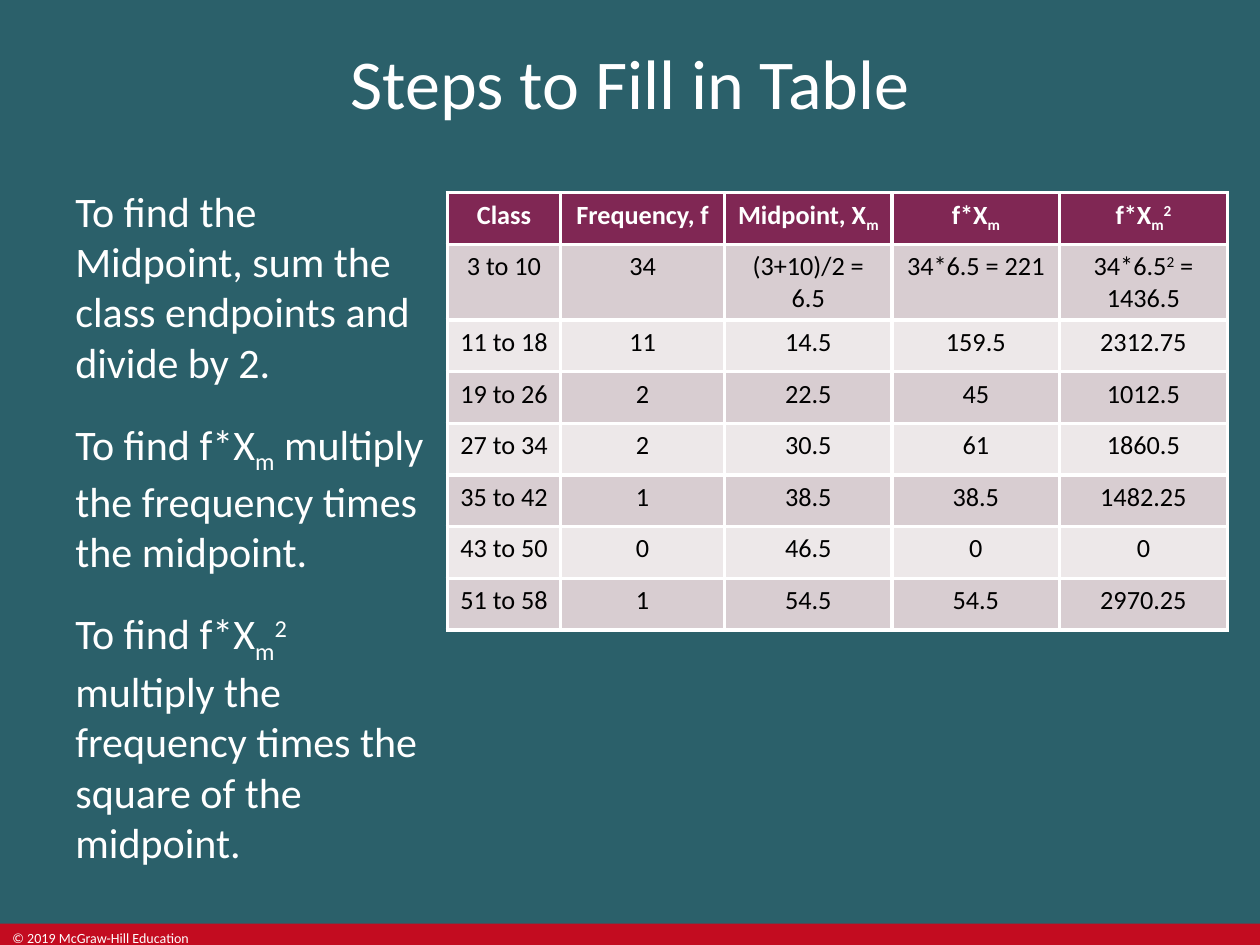
from dataclasses import dataclass

from lxml import etree
from pptx import Presentation
from pptx.dml.color import RGBColor
from pptx.enum.shapes import MSO_SHAPE
from pptx.enum.text import MSO_ANCHOR, PP_ALIGN
from pptx.oxml.ns import qn
from pptx.util import Inches, Pt

CENTER, LEFT = PP_ALIGN.CENTER, PP_ALIGN.LEFT
MIDDLE, TOP = MSO_ANCHOR.MIDDLE, MSO_ANCHOR.TOP
RECTANGLE = MSO_SHAPE.RECTANGLE
TITLE_ONLY = 5


@dataclass(frozen=True)
class Theme:
    font: str = "Calibri"
    background: str = "2B606A"
    footer: str = "C30C20"
    header: str = "802754"
    bands: tuple = ("D8CDD1", "EDE8E9")
    light: str = "FFFFFF"
    dark: str = "000000"
    title_size: int = 40
    body_size: int = 24
    table_size: int = 15
    footer_size: int = 8
    border: float = 2.25


THEME = Theme()
SUB, SUP = -25, 30
X_M = [("X", 0), ("m", SUB)]
F_X_M = [("f*X", 0), ("m", SUB)]
F_X_M_SQUARED = F_X_M + [("2", SUP)]

TITLE = "Steps to Fill in Table"
COPYRIGHT = "© 2019 McGraw-Hill Education"
STEPS = [
    [("To find the Midpoint, sum the class endpoints and divide by 2.", 0)],
    [("To find f*X", 0), ("m", SUB), (" multiply the frequency times the midpoint.", 0)],
    [("To find f*X", 0), ("m", SUB), ("2", SUP),
     (" multiply the frequency times the square of the midpoint.", 0)],
]
ROWS = [
    ["Class", "Frequency, f", [("Midpoint, X", 0), ("m", SUB)], F_X_M, F_X_M_SQUARED],
    ["3 to 10", "34", "(3+10)/2 = 6.5", "34*6.5 = 221",
     [("34*6.5", 0), ("2", SUP), (" = 1436.5", 0)]],
    ["11 to 18", "11", "14.5", "159.5", "2312.75"],
    ["19 to 26", "2", "22.5", "45", "1012.5"],
    ["27 to 34", "2", "30.5", "61", "1860.5"],
    ["35 to 42", "1", "38.5", "38.5", "1482.25"],
    ["43 to 50", "0", "46.5", "0", "0"],
    ["51 to 58", "1", "54.5", "54.5", "2970.25"],
]
COLUMN_WIDTHS = [0.9, 1.3, 1.33, 1.33, 1.33]
ROW_HEIGHT = 0.41
WIDTH, HEIGHT = 10, 7.5
FOOTER_HEIGHT = 0.17


def box(left, top, width, height):
    return [Inches(value) for value in (left, top, width, height)]


def paint(fill, color):
    fill.solid()
    fill.fore_color.rgb = RGBColor.from_string(color)


def write(paragraph, content, size, color=THEME.light, bold=False, align=LEFT):
    paragraph.alignment = align
    runs = [(content, 0)] if isinstance(content, str) else content
    for text, baseline in runs:
        run = paragraph.add_run()
        run.text = text
        run.font.name = THEME.font
        run.font.size = Pt(size)
        run.font.bold = bold
        run.font.color.rgb = RGBColor.from_string(color)
        if baseline:
            run.font._element.set("baseline", str(baseline * 1000))


def add_text_box(slide, bounds):
    frame = slide.shapes.add_textbox(*bounds).text_frame
    frame.word_wrap = True
    return frame


def add_borders(cell):
    properties = cell._tc.get_or_add_tcPr()
    for side in ("a:lnL", "a:lnR", "a:lnT", "a:lnB"):
        line = etree.SubElement(properties, qn(side), w=str(Pt(THEME.border)))
        fill = etree.SubElement(line, qn("a:solidFill"))
        etree.SubElement(fill, qn("a:srgbClr"), val=THEME.light)


def add_footer(slide):
    top = HEIGHT - FOOTER_HEIGHT
    bar = slide.shapes.add_shape(RECTANGLE, *box(0, top, WIDTH, FOOTER_HEIGHT))
    bar.shadow.inherit = False
    paint(bar.fill, THEME.footer)
    bar.line.fill.background()
    frame = add_text_box(slide, box(0, top, 1.7, FOOTER_HEIGHT))
    write(frame.paragraphs[0], COPYRIGHT, THEME.footer_size)


def add_title(slide):
    title = slide.shapes.title
    title.left, title.top, title.width, title.height = box(0, 0, WIDTH, 1.3)
    title.text_frame.vertical_anchor = MIDDLE
    write(title.text_frame.paragraphs[0], TITLE, THEME.title_size, align=CENTER)


def add_steps(slide):
    frame = add_text_box(slide, box(0.5, 1.42, 3, 5.75))
    frame.vertical_anchor = TOP
    for index, step in enumerate(STEPS):
        paragraph = frame.add_paragraph() if index else frame.paragraphs[0]
        paragraph.space_before = Pt(12 if index else 0)
        paragraph.space_after = Pt(6)
        write(paragraph, step, THEME.body_size)


def add_frequency_table(slide):
    bounds = box(3.55, 1.53, sum(COLUMN_WIDTHS), ROW_HEIGHT * len(ROWS))
    table = slide.shapes.add_table(len(ROWS), len(COLUMN_WIDTHS), *bounds).table
    for column, width in zip(table.columns, COLUMN_WIDTHS):
        column.width = Inches(width)
    for row_index, row in enumerate(ROWS):
        table.rows[row_index].height = Inches(ROW_HEIGHT)
        is_header = row_index == 0
        fill = THEME.header if is_header else THEME.bands[(row_index - 1) % 2]
        color = THEME.light if is_header else THEME.dark
        for column_index, content in enumerate(row):
            cell = table.cell(row_index, column_index)
            add_borders(cell)
            paint(cell.fill, fill)
            write(cell.text_frame.paragraphs[0], content, THEME.table_size,
                  color, is_header, CENTER)


def main():
    presentation = Presentation()
    presentation.slide_width, presentation.slide_height = Inches(WIDTH), Inches(HEIGHT)
    slide = presentation.slides.add_slide(presentation.slide_layouts[TITLE_ONLY])
    paint(slide.background.fill, THEME.background)
    add_footer(slide)
    add_title(slide)
    add_steps(slide)
    add_frequency_table(slide)
    presentation.save("out.pptx")


if __name__ == "__main__":
    main()
